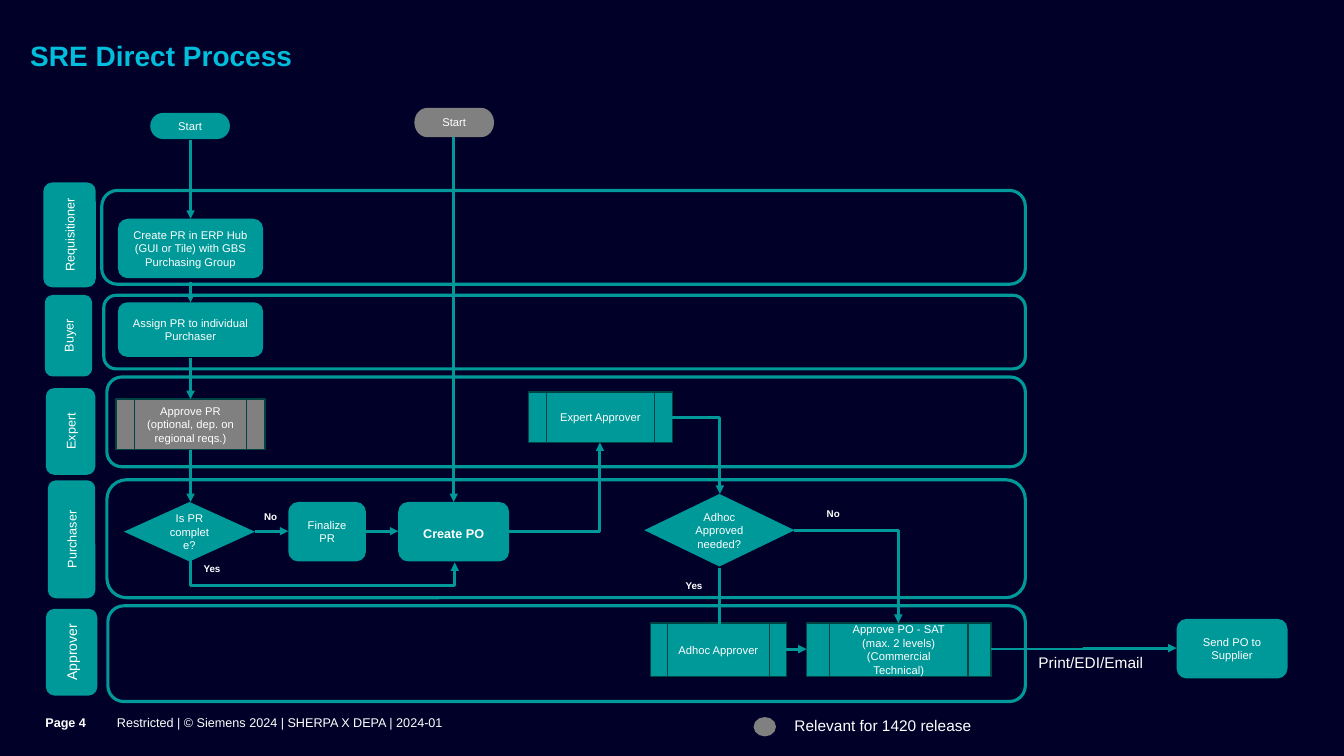
from pptx import Presentation
from pptx.dml.color import RGBColor
from pptx.enum.shapes import MSO_CONNECTOR, MSO_SHAPE
from pptx.enum.text import MSO_ANCHOR, MSO_AUTO_SIZE, PP_ALIGN
from pptx.oxml.ns import qn
from pptx.util import Inches, Pt
from lxml import etree

ROUND, OVAL = MSO_SHAPE.ROUNDED_RECTANGLE, MSO_SHAPE.OVAL
PILL, DIAMOND = MSO_SHAPE.FLOWCHART_TERMINATOR, MSO_SHAPE.FLOWCHART_DECISION
STEP = MSO_SHAPE.FLOWCHART_ALTERNATE_PROCESS
SUB = MSO_SHAPE.FLOWCHART_PREDEFINED_PROCESS
STRAIGHT, ELBOW = MSO_CONNECTOR.STRAIGHT, MSO_CONNECTOR.ELBOW
TOP, MIDDLE, BOTTOM = MSO_ANCHOR.TOP, MSO_ANCHOR.MIDDLE, MSO_ANCHOR.BOTTOM
LEFT, CENTER = PP_ALIGN.LEFT, PP_ALIGN.CENTER

TEAL, GREY, WHITE = "009999", "808080", "FFFFFF"
CYAN, DEEP, NAVY = "00BEDC", "004343", "000028"

# Shared columns and rows, in inches
COL_A, COL_PO, COL_ADHOC = 1.89, 4.5, 7.14
ROW_BUY, ROW_LAST = 5.27, 6.44
EDGE = 10.17


def paint(part, code):
    part.rgb = RGBColor.from_string(code)


def write(shape, text, size, bold=False, tint=WHITE, align=LEFT,
          anchor=TOP, pads=(0, 0, 0, 0), wrap=True):
    frame = shape.text_frame
    frame.text = text
    frame.word_wrap = wrap
    frame.auto_size = MSO_AUTO_SIZE.NONE
    frame.vertical_anchor = anchor
    (frame.margin_left, frame.margin_top,
     frame.margin_right, frame.margin_bottom) = map(Inches, pads)
    for line in frame.paragraphs:
        line.alignment = align
        line.font.name = "Arial"
        line.font.size = Pt(size)
        line.font.bold = bold
        paint(line.font.color, tint)


deck = Presentation()
deck.slide_width, deck.slide_height = Inches(13.33), Inches(7.5)
slide = deck.slides.add_slide(deck.slide_layouts[5])
shapes = slide.shapes
slide.background.fill.solid()
paint(slide.background.fill.fore_color, NAVY)

# Title
title = shapes.title
title.left, title.top, title.width, title.height = map(
    Inches, (0.3, 0.42, 10.79, 0.32))
write(title, "SRE Direct Process", 20, True, CYAN, pads=(0, 0, 0.35, 0.02))
title.text_frame.paragraphs[0].line_spacing = 0.9

# Swim lanes: name, text size, tag centre x and y, tag length and depth,
# then lane left, top, height
lanes = [
    ("Requisitioner", 9, 0.69, 2.33, 1.04, 0.52, 1.01, 1.89, 0.93),
    ("Buyer", 9, 0.68, 3.33, 0.81, 0.47, 1.03, 2.93, 0.73),
    ("Expert", 9, 0.7, 4.28, 0.86, 0.49, 1.06, 3.74, 0.89),
    ("Purchaser", 9, 0.71, 5.35, 1.17, 0.47, 1.06, 4.76, 1.17),
    ("Approver", 10, 0.71, 6.47, 0.86, 0.51, 1.07, 6.01, 0.95),
]
for name, size, mid_x, mid_y, long, deep, left, top, high in lanes:
    lane = shapes.add_shape(ROUND, *map(Inches, (left, top, EDGE - left, high)))
    lane.shadow.inherit = False
    lane.fill.background()
    paint(lane.line.color, TEAL)
    lane.line.width = Pt(2.25)
    tag = shapes.add_shape(ROUND, *map(
        Inches, (mid_x - long / 2, mid_y - deep / 2, long, deep)))
    tag.rotation = 270
    tag.shadow.inherit = False
    tag.fill.solid()
    paint(tag.fill.fore_color, TEAL)
    tag.line.fill.background()
    write(tag, name, size, align=CENTER, anchor=MIDDLE,
          pads=(0.12, 0.08, 0.12, 0.08))

# Process steps: kind, fill, left, top, width, height, text
steps = [
    (PILL, TEAL, 1.49, 1.12, 0.79, 0.26, "Start"),
    (PILL, GREY, 4.11, 1.07, 0.79, 0.29, "Start"),
    (STEP, TEAL, 1.17, 2.17, 1.44, 0.59,
     "Create PR in ERP Hub (GUI or Tile) with GBS Purchasing Group"),
    (STEP, TEAL, 1.17, 3, 1.44, 0.54, "Assign PR to individual Purchaser"),
    (SUB, GREY, 1.15, 3.96, 1.48, 0.5,
     "Approve PR (optional, dep. on regional reqs.)"),
    (SUB, TEAL, 5.24, 3.89, 1.43, 0.5, "Expert Approver"),
    (DIAMOND, TEAL, 1.23, 4.98, 1.3, 0.59, "Is PR complete?"),
    (STEP, TEAL, 2.86, 4.98, 0.77, 0.59, "Finalize PR"),
    (STEP, TEAL, 3.95, 4.98, 1.1, 0.59, "Create PO"),
    (DIAMOND, TEAL, 6.39, 4.9, 1.49, 0.72, "Adhoc Approved needed?"),
    (SUB, TEAL, 6.45, 6.18, 1.35, 0.53, "Adhoc Approver"),
    (SUB, TEAL, 8, 6.18, 1.83, 0.53,
     "Approve PO - SAT\n(max. 2 levels)\n(Commercial\nTechnical)"),
    (STEP, TEAL, 11.67, 6.14, 1.1, 0.59, "Send PO to Supplier"),
    (OVAL, GREY, 7.49, 7.13, 0.19, 0.16, ""),
]
for kind, tint, left, top, wide, high, text in steps:
    step = shapes.add_shape(kind, *map(Inches, (left, top, wide, high)))
    step.shadow.inherit = False
    step.fill.solid()
    paint(step.fill.fore_color, tint)
    if kind == SUB:
        paint(step.line.color, DEEP)
        step.line.width = Pt(1)
    elif kind == OVAL:
        paint(step.line.color, GREY)
        step.line.width = Pt(2.25)
    else:
        step.line.fill.background()
    main = text == "Create PO"
    pads = (0.1, 0.05, 0.1, 0.05) if kind == SUB else (0.12, 0.08, 0.12, 0.08)
    if main:
        pads = (0.12, 0.12, 0.12, 0.08)
    if text:
        write(step, text, 9 if main else 8, main, align=CENTER,
              anchor=MIDDLE, pads=pads)

# Arrows: from x, y, to x, y, bend preset
BEND, JOG, LOOP = "bentConnector2", "bentConnector3", "loop"
links = [
    (COL_A, 1.39, COL_A, 2.17, None),
    (COL_A, 2.8, COL_A, 3, None),
    (COL_A, 3.55, COL_A, 3.96, None),
    (COL_A, 4.46, COL_A, 4.98, None),
    (COL_PO, 1.36, COL_PO, 4.98, None),
    (2.53, ROW_BUY, 2.86, ROW_BUY, None),
    (3.63, ROW_BUY, 3.95, ROW_BUY, None),
    (COL_ADHOC, 5.64, COL_ADHOC, 6.34, None),
    (7.8, ROW_LAST, 8, ROW_LAST, None),
    (5.05, ROW_BUY, 5.95, 4.39, BEND),
    (6.67, 4.14, COL_ADHOC, 4.9, BEND),
    (7.88, 5.26, 8.91, 6.18, BEND),
    (9.83, ROW_LAST, 11.67, 6.43, JOG),
    (3.21, 4.26, 3.19, 6.88, LOOP),
]
for x1, y1, x2, y2, bend in links:
    link = shapes.add_connector(ELBOW if bend else STRAIGHT,
                                *map(Inches, (x1, y1, x2, y2)))
    paint(link.line.color, TEAL)
    link.line.width = Pt(2)
    props = link._element.spPr
    geom = props.find(qn("a:prstGeom"))
    if bend == BEND:
        geom.set("prst", BEND)
    if bend == LOOP:
        # Turned a quarter, so the middle part runs below both ends
        props.find(qn("a:xfrm")).set("rot", "16200000")
        etree.SubElement(geom.find(qn("a:avLst")), qn("a:gd"),
                         name="adj1", fmla="val 1250000")
    etree.SubElement(props.find(qn("a:ln")), qn("a:tailEnd"), type="triangle")
    etree.SubElement(props, qn("a:effectLst"))

# Labels: left, top, width, height, text, size, bold, anchor, bottom pad, wrap
labels = [
    (2.62, 5.07, 0.13, 0.12, "No", 7, True, TOP, 0, False),
    (2.02, 5.58, 0.17, 0.12, "Yes", 7, True, TOP, 0, False),
    (8.2, 5.04, 0.13, 0.12, "No", 7, True, TOP, 0, False),
    (6.8, 5.75, 0.17, 0.12, "Yes", 7, True, TOP, 0, False),
    (10.3, 6.29, 1.44, 0.37, "Print/EDI/Email", 11, False, BOTTOM, 0, True),
    (7.88, 7.1, 3.02, 0.19, "Relevant for 1420 release", 11, False, TOP, 0, True),
    (0.45, 6.9, 0.71, 0.6, "Page 4", 9, True, MIDDLE, 0.07, True),
    (1.16, 6.9, 10.08, 0.6,
     "Restricted | © Siemens 2024 | SHERPA X DEPA | 2024-01",
     9, False, MIDDLE, 0.07, True),
]
for left, top, wide, high, text, size, bold, anchor, pad, wrap in labels:
    label = shapes.add_textbox(*map(Inches, (left, top, wide, high)))
    write(label, text, size, bold, anchor=anchor, pads=(0, 0, 0, pad), wrap=wrap)

deck.save("out.pptx")
